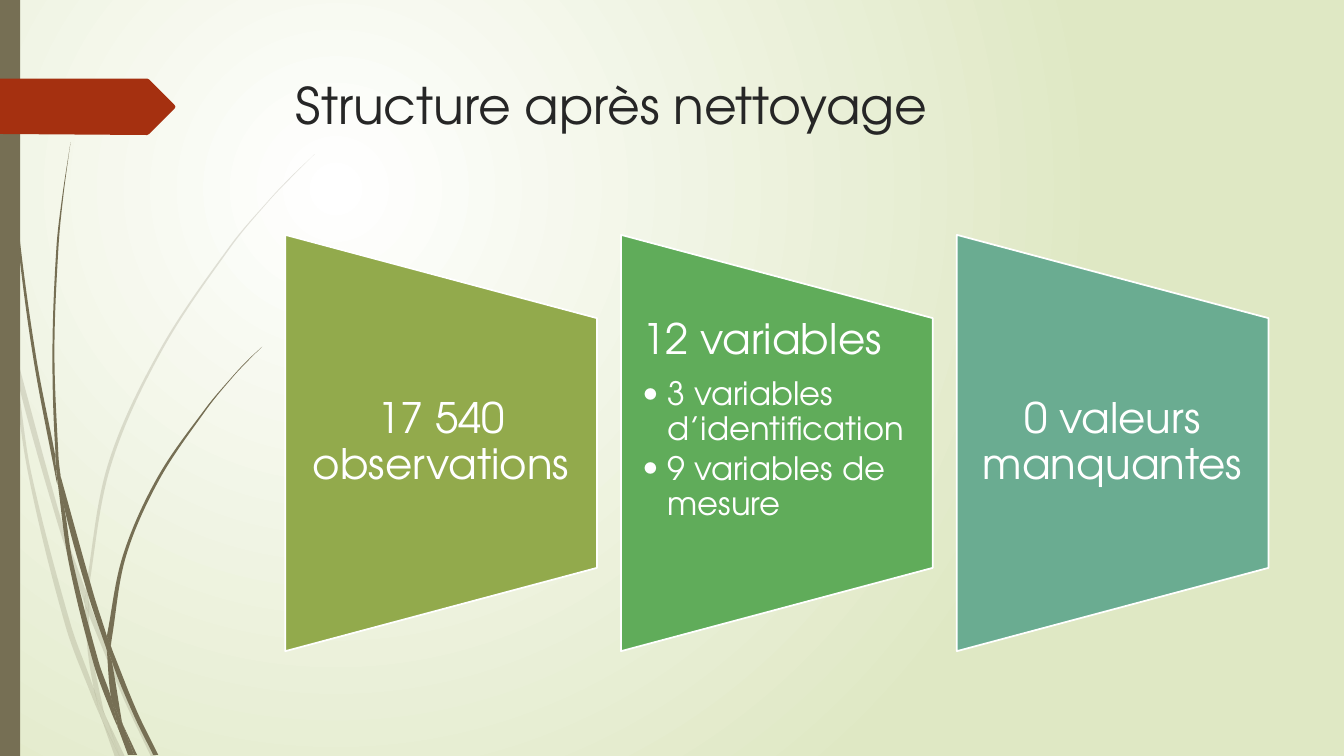
from dataclasses import dataclass
from math import dist
from lxml.etree import SubElement
from pptx import Presentation
from pptx.dml.color import RGBColor
from pptx.enum.shapes import MSO_SHAPE
from pptx.enum.text import MSO_ANCHOR, PP_ALIGN
from pptx.oxml.ns import qn
from pptx.util import Pt

PX = 9144
WIDTH, HEIGHT = 1333, 750


@dataclass(frozen=True)
class Theme:
    """Colours, font and type sizes of the slide."""
    font: str = "TeX Gyre Adventor"
    title: int = 36
    heading: int = 30
    detail: int = 23
    ink: str = "262626"
    white: str = "FFFFFF"
    glow: str = "DFE8C4"
    bark: str = "766F54"
    ribbon: str = "A53010"
    cards: tuple = ("92AA4C", "60AC5A", "6AAC91")


THEME = Theme()

PALE_BLADES = [
    ([(0, 282), (9, 322), (11, 350)], [(0, 299), (10, 344), (11, 350)]),
    ([(14, 345), (17, 376), (58, 522), (84, 599)], [(14, 345), (62, 520), (85, 586)]),
    ([(88, 596), (92, 607), (127, 692), (155, 751)], [(88, 610), (123, 694), (150, 751)]),
    ([(105, 711), (119, 751)], [(105, 711), (124, 751)]),
    ([(11, 350), (17, 376), (31, 469), (70, 619), (93, 683), (99, 707), (101, 714)],
     [(11, 350), (28, 470), (65, 621), (92, 693), (101, 714)]),
    ([(84, 599), (87, 646), (93, 683), (96, 692), (105, 711)],
     [(84, 599), (88, 608), (88, 610), (91, 646), (103, 706), (105, 711)]),
    ([(312, 153), (289, 175), (268, 197), (228, 244), (158, 348), (107, 461), (85, 584), (85, 586)],
     [(312, 153), (290, 175), (268, 198), (229, 245), (160, 349), (110, 462), (88, 584), (88, 596)]),
    ([(101, 714), (114, 751)], [(101, 714), (119, 751)]),
    ([(85, 586), (84, 599), (88, 608)], [(85, 586), (88, 596), (88, 610)]),
    ([(93, 683), (99, 707), (101, 714), (119, 751)], [(93, 683), (96, 692), (105, 711), (119, 751)]),
]
DARK_BLADES = [
    ([(3, 0), (4, 48), (7, 110), (17, 233), (33, 355), (56, 477), (57, 481)],
     [(4, 0), (5, 48), (8, 109), (19, 232), (36, 355), (55, 453), (55, 457), (57, 481)]),
    ([(60, 472), (64, 505), (88, 592), (106, 645)], [(60, 472), (93, 590), (106, 631), (106, 633)]),
    ([(110, 641), (113, 649), (136, 706), (157, 749)], [(110, 641), (111, 656), (132, 708), (152, 749)]),
    ([(57, 477), (68, 557), (93, 659), (111, 708), (117, 722)],
     [(57, 477), (64, 505), (72, 556), (98, 657), (110, 691), (116, 717), (117, 722)]),
    ([(70, 141), (62, 193), (56, 245), (52, 349), (55, 449), (60, 472)],
     [(70, 141), (63, 193), (58, 245), (54, 349), (58, 453), (60, 472)]),
    ([(122, 719), (133, 749)], [(122, 719), (136, 749)]),
    ([(55, 449), (55, 453), (57, 477), (64, 505)], [(55, 449), (60, 472), (64, 505)]),
    ([(260, 344), (245, 358), (231, 373), (204, 405), (156, 474), (122, 551), (106, 631)],
     [(260, 344), (245, 359), (231, 374), (205, 406), (158, 476), (125, 552), (111, 633), (110, 641)]),
    ([(117, 722), (127, 749)], [(117, 722), (131, 749)]),
    ([(106, 645), (110, 691), (116, 706), (122, 719)],
     [(106, 645), (109, 651), (111, 656), (121, 716), (122, 719)]),
    ([(106, 631), (106, 645), (109, 651), (111, 656)], [(106, 631), (110, 641), (111, 656)]),
    ([(110, 691), (116, 717), (117, 722), (130, 749)], [(110, 691), (116, 706), (122, 719), (133, 749)]),
]
RIBBON = [(0, 0), (146, 0), (148, 1), (173, 26), (174, 28), (173, 30), (148, 55), (146, 56), (0, 55)]
CARDS = [
    ("17 540 observations", []),
    ("12 variables", ["3 variables d’identification", "9 variables de mesure"]),
    ("0 valeurs manquantes", []),
]


def emu(*lengths):
    """Turn px lengths into EMU."""
    return [round(length * PX) for length in lengths]


def apply(target, values):
    """Set each attribute named in a dict of format values."""
    for name, value in values.items():
        setattr(target, name, value)


def paint(shape, colour, opacity=100, line=None):
    """Give a shape a flat fill and an optional outline."""
    shape.shadow.inherit = False
    shape.fill.solid()
    shape.fill.fore_color.rgb = RGBColor.from_string(colour)
    if opacity < 100:
        tint = shape.element.spPr.find(".//" + qn("a:srgbClr"))
        SubElement(tint, qn("a:alpha")).set("val", str(opacity * 1000))
    if line:
        shape.line.color.rgb = RGBColor.from_string(line)
        shape.line.width = Pt(1.25)
    else:
        shape.line.fill.background()


def add_text_frame(page, box, side, edge, anchor):
    """Add a wrapping text box and return its frame."""
    frame = page.shapes.add_textbox(*emu(*box)).text_frame
    side, edge = emu(side, edge)
    apply(frame, dict(word_wrap=True, vertical_anchor=anchor, margin_left=side,
                      margin_right=side, margin_top=edge, margin_bottom=edge))
    return frame


def write(para, text, size, colour, **layout):
    """Write one styled paragraph."""
    span = para.add_run()
    span.text = text
    apply(span.font, dict(name=THEME.font, size=Pt(size)))
    span.font.color.rgb = RGBColor.from_string(colour)
    apply(para, layout)


def add_bullet(para, indent):
    """Give a paragraph a hanging round bullet."""
    properties = para._p.get_or_add_pPr()
    properties.set("marL", str(indent * PX))
    properties.set("indent", str(-indent * PX))
    SubElement(properties, qn("a:buFont")).set("typeface", THEME.font)
    SubElement(properties, qn("a:buChar")).set("char", "•")


def curve(knots):
    """Return two handles and an end for each step of a smooth line."""
    slopes = []
    for before, after in zip([knots[0], *knots], [*knots[1:], knots[-1]]):
        span = dist(before, after)
        slopes.append([(b - a) / span for a, b in zip(before, after)])
    points = []
    for start, end, leave, arrive in zip(knots, knots[1:], slopes, slopes[1:]):
        reach = dist(start, end) / 3
        points += [tuple(p + s * reach for p, s in zip(start, leave)),
                   tuple(p - s * reach for p, s in zip(end, arrive)), end]
    return points


def add_outline(page, box, points):
    """Add a closed outline placed in the box."""
    corners = [emu(box[0] + x, box[1] + y) for x, y in points]
    builder = page.shapes.build_freeform(*corners[0])
    builder.add_line_segments(corners[1:])
    return builder.convert_to_shape()


def bend(shape):
    """Turn each three straight segments into one cubic curve."""
    segments = list(shape.element.iter(qn("a:lnTo")))
    for first, second, third in zip(segments[::3], segments[1::3], segments[2::3]):
        first.tag = qn("a:cubicBezTo")
        for segment in (second, third):
            first.append(segment[0])
            segment.getparent().remove(segment)


def draw_grass(page, box, blades, opacity):
    """Draw curved blades from their two edges."""
    for near, far in blades:
        tip = curve([near[-1], far[-1]]) if near[-1] != far[-1] else []
        base = curve([far[0], near[0]]) if far[0] != near[0] else []
        blade = add_outline(page, box, [near[0], *curve(near), *tip, *curve(far[::-1]), *base])
        bend(blade)
        paint(blade, THEME.bark, opacity)


def draw_background(page):
    """Fill the page with a glow centred in the upper left."""
    fill = page.background.fill
    fill.gradient()
    for stop, colour in zip(fill.gradient_stops, (THEME.white, THEME.glow)):
        stop.color.rgb = RGBColor.from_string(colour)
    linear = next(page.element.iter(qn("a:lin")))
    gradient = linear.getparent()
    gradient.remove(linear)
    circle = SubElement(gradient, qn("a:path"), path="circle")
    SubElement(circle, qn("a:fillToRect"), l="50000", t="50000", r="100000", b="100000")


def draw_margin(page, box):
    """Draw the grass, the side bar and the ribbon."""
    left, top, _, height = box
    draw_grass(page, box, PALE_BLADES, 20)
    draw_grass(page, box, DARK_BLADES, 100)
    bar = page.shapes.add_shape(MSO_SHAPE.RECTANGLE, *emu(left, top, 20, height))
    paint(bar, THEME.bark)
    paint(add_outline(page, (left, top + 78), RIBBON), THEME.ribbon)


def draw_title(page, box):
    """Write the slide title."""
    frame = add_text_frame(page, box, 10, 5, MSO_ANCHOR.TOP)
    write(frame.paragraphs[0], "Structure après nettoyage", THEME.title, THEME.ink)


def draw_card(page, box, colour, heading, details):
    """Draw one sideways trapezoid with its heading and bullets."""
    left, top, width, height = box
    shift = (height - width) / 2
    card = page.shapes.add_shape(MSO_SHAPE.FLOWCHART_MANUAL_OPERATION,
                                 *emu(left - shift, top + shift, height, width))
    card.rotation = 270
    paint(card, colour, line=THEME.white)

    area = (left, top + height / 5, width, height * 3 / 5)
    anchor = MSO_ANCHOR.TOP if details else MSO_ANCHOR.MIDDLE
    align = PP_ALIGN.LEFT if details else PP_ALIGN.CENTER
    frame = add_text_frame(page, area, 21, 0, anchor)
    write(frame.paragraphs[0], heading, THEME.heading, THEME.white,
          alignment=align, line_spacing=0.9, space_after=Pt(10.5))
    for detail in details:
        para = frame.add_paragraph()
        write(para, detail, THEME.detail, THEME.white,
              level=1, alignment=align, line_spacing=0.9, space_after=Pt(3.5))
        add_bullet(para, 25)


def draw_cards(page, box, gap):
    """Set the cards side by side in equal columns."""
    left, top, width, height = box
    column = (width - gap * (len(CARDS) - 1)) / len(CARDS)
    for index, (colour, (heading, details)) in enumerate(zip(THEME.cards, CARDS)):
        place = (left + index * (column + gap), top, column, height)
        draw_card(page, place, colour, heading, details)


def main():
    """Build the deck and save it."""
    deck = Presentation()
    deck.slide_width, deck.slide_height = emu(WIDTH, HEIGHT)
    page = deck.slides.add_slide(deck.slide_layouts[6])
    draw_background(page)
    draw_margin(page, (0, 0, 312, HEIGHT))
    draw_title(page, (283, 69, 975, 140))
    draw_cards(page, (283, 233, 975, 413), 24)
    deck.save("out.pptx")


if __name__ == "__main__":
    main()
